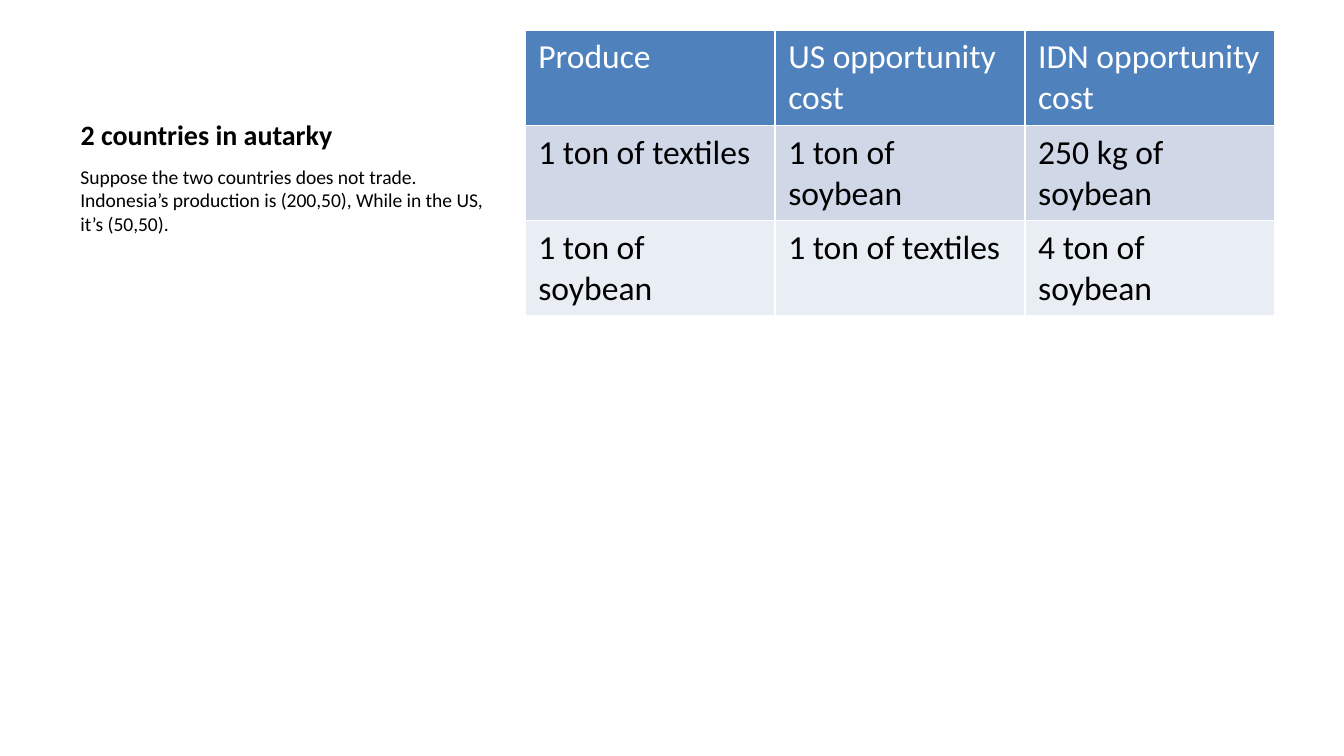
from pptx import Presentation
from pptx.dml.color import RGBColor
from pptx.enum.text import MSO_ANCHOR, MSO_AUTO_SIZE, PP_ALIGN
from pptx.util import Cm, Pt

COLORS = {"text": "000000", "header_text": "FFFFFF", "header": "4F81BD",
          "odd_row": "D0D8E8", "even_row": "E9EDF4"}
FONT = "Calibri"
LEFT, TEXT_WIDTH = Cm(1.27), Cm(8.36)

ROWS = [
    ["Produce", "US opportunity cost", "IDN opportunity cost"],
    ["1 ton of textiles", "1 ton of soybean", "250 kg of soybean"],
    ["1 ton of soybean", "1 ton of textiles", "4 ton of soybean"],
]
ROW_FILLS = ["header", "odd_row", "even_row"]


def write(tf, text, size, color="text", bold=False, anchor=MSO_ANCHOR.TOP):
    tf.word_wrap = True
    tf.vertical_anchor = anchor
    p = tf.paragraphs[0]
    p.alignment = PP_ALIGN.LEFT
    r = p.add_run()
    r.text = text
    r.font.name = FONT
    r.font.size = Pt(size)
    r.font.bold = bold
    r.font.color.rgb = RGBColor.from_string(COLORS[color])


def add_title(slide, text):
    sp = slide.shapes.title
    sp.left, sp.top, sp.width, sp.height = LEFT, Cm(0.56), TEXT_WIDTH, Cm(2.42)
    sp.text_frame.auto_size = MSO_AUTO_SIZE.NONE
    write(sp.text_frame, text, 15, bold=True, anchor=MSO_ANCHOR.BOTTOM)


def add_body(slide, text):
    sp = slide.shapes.add_textbox(LEFT, Cm(2.99), TEXT_WIDTH, Cm(9.77))
    write(sp.text_frame, text, 10.5)


def add_cost_table(slide):
    # The default table style supplies the white borders
    table = slide.shapes.add_table(len(ROWS), len(ROWS[0]), Cm(9.92), Cm(0.57),
                                   Cm(14.17), Cm(1.8) * len(ROWS)).table
    for i, (row, fill) in enumerate(zip(ROWS, ROW_FILLS)):
        for j, text in enumerate(row):
            cell = table.cell(i, j)
            cell.fill.solid()
            cell.fill.fore_color.rgb = RGBColor.from_string(COLORS[fill])
            write(cell.text_frame, text, 18, "text" if i else "header_text")


def main():
    prs = Presentation()
    prs.slide_width, prs.slide_height = Cm(25.4), Cm(14.29)
    slide = prs.slides.add_slide(prs.slide_layouts[5])
    add_title(slide, "2 countries in autarky")
    add_body(slide, "Suppose the two countries does not trade. Indonesia’s "
                    "production is (200,50), While in the US, it’s (50,50).")
    add_cost_table(slide)
    prs.save("out.pptx")


main()
